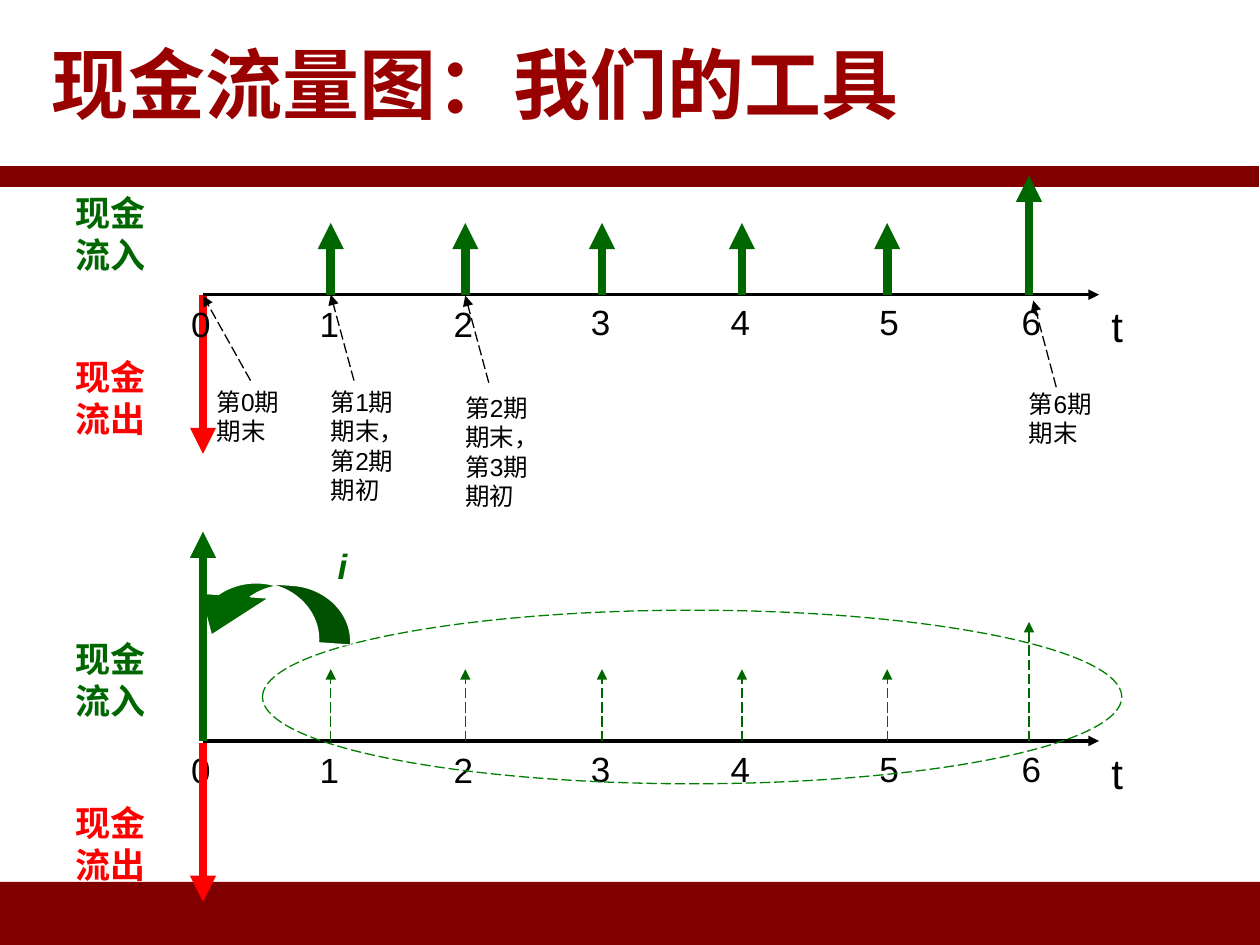
from dataclasses import dataclass

from lxml import etree
from pptx import Presentation
from pptx.dml.color import RGBColor
from pptx.enum.dml import MSO_LINE
from pptx.enum.lang import MSO_LANGUAGE_ID
from pptx.enum.shapes import MSO_CONNECTOR, MSO_SHAPE
from pptx.enum.text import MSO_ANCHOR
from pptx.oxml.ns import qn
from pptx.util import Pt

STRAIGHT = MSO_CONNECTOR.STRAIGHT
RECTANGLE, OVAL = MSO_SHAPE.RECTANGLE, MSO_SHAPE.OVAL
CURVED_ARROW = MSO_SHAPE.CURVED_UP_ARROW
LONG_DASH = MSO_LINE.LONG_DASH
MIDDLE, TOP = MSO_ANCHOR.MIDDLE, MSO_ANCHOR.TOP
CHINESE = MSO_LANGUAGE_ID.SIMPLIFIED_CHINESE


@dataclass(frozen=True)
class Theme:
    font: str = "Arial"
    band: str = "800000"
    title: str = "990000"
    paper: str = "FFFFFF"
    ink: str = "000000"
    inflow: str = "006600"
    outflow: str = "FF0000"
    group: str = "008000"
    title_size: float = 44
    axis_size: float = 24
    label_size: float = 20
    note_size: float = 14
    thin: float = 0.75
    axis_line: float = 2
    thick: float = 5


class SlideBuilder:
    def __init__(self, slide, theme):
        self.shapes = slide.shapes
        self.theme = theme

    def shape(self, kind, box, fill=None, line=None, dash=None):
        shape = self.shapes.add_shape(kind, *map(Pt, box))
        shape.shadow.inherit = False
        if fill:
            shape.fill.solid()
            shape.fill.fore_color.rgb = RGBColor.from_string(fill)
        else:
            shape.fill.background()
        if line:
            shape.line.color.rgb = RGBColor.from_string(line)
            shape.line.width = Pt(self.theme.thin)
            shape.line.dash_style = dash
        else:
            shape.line.fill.background()
        return shape

    def text(self, words, box, size, color, bold=False, italic=False,
             side_inset=7.2, anchor=TOP):
        frame = self.shapes.add_textbox(*map(Pt, box)).text_frame
        frame.word_wrap = True
        frame.vertical_anchor = anchor
        frame.margin_left = frame.margin_right = Pt(side_inset)
        frame.text = words
        font = frame.paragraphs[0].runs[0].font
        font.name = self.theme.font
        font.size = Pt(size)
        font.bold, font.italic = bold, italic
        font.color.rgb = RGBColor.from_string(color)
        font.language_id = CHINESE

    def arrow(self, start, end, color, width, dash=None):
        line = self.shapes.add_connector(STRAIGHT, *map(Pt, start + end))
        line.line.color.rgb = RGBColor.from_string(color)
        line.line.width = Pt(width)
        line.line.dash_style = dash
        properties = line._element.spPr
        head = etree.SubElement(properties.find(qn("a:ln")), qn("a:tailEnd"))
        head.set("type", "triangle")
        etree.SubElement(properties, qn("a:effectLst"))

    def note(self, words, left, top, height):
        self.text(words, (left, top, 46, height), self.theme.note_size,
                  self.theme.ink, side_inset=0)

    def pointer(self, start, end):
        self.arrow(start, end, self.theme.ink, self.theme.thin, LONG_DASH)

    def timeline(self, axis_y, flow_width, flow_dash=None):
        """Axis with its period labels, inflow arrows and side headings."""
        theme = self.theme
        self.arrow((ORIGIN_X, axis_y), (AXIS_END, axis_y), theme.ink, theme.axis_line)
        for period, (x, label_left, rise) in enumerate(PERIODS):
            if rise:
                self.arrow((x, axis_y), (x, axis_y - rise), theme.inflow,
                           flow_width, flow_dash)
            label_top = axis_y + (0.7 if period < 3 else 0)
            self.text(str(period), (label_left, label_top, 27, 31),
                      theme.label_size, theme.ink)
        self.text("t", (AXIS_END, axis_y, 31, 36), theme.axis_size, theme.ink)
        for words, offset, color in (("现金流入", -62.5, theme.inflow),
                                     ("现金流出", 31, theme.outflow)):
            self.text(words, (36, axis_y + offset, 66, 55.5), theme.label_size,
                      color, bold=True)


ORIGIN_X, AXIS_END = 116, 628
UPPER_Y, LOWER_Y = 168.4, 423.4
OUTFLOW_DROP = 91

# Arrow position, label left, inflow height for periods 0 to 6
PERIODS = [
    (ORIGIN_X, 102.2, 0),
    (189, 175.5, 41),
    (265.9, 252.2, 41),
    (344, 330.5, 41),
    (424, 410.4, 41),
    (507, 495.4, 41),
    (588, 576.7, 68),
]

# Wording, left, top, height
NOTES = [
    ("第0期期末", 123.8, 217.5, 41),
    ("第1期期末，第2期期初", 189, 217.5, 74),
    ("第2期期末，第3期期初", 265.9, 221, 74),
    ("第6期期末", 588, 218.7, 41),
]

POINTERS = [
    ((143.2, 217.5), (ORIGIN_X, 169)),
    ((202.3, 217.5), (189, 168.4)),
    ((279.3, 218.7), (265.9, 169)),
    ((603.6, 221.3), (590.4, 171.8)),
]


def main():
    deck = Presentation()
    deck.slide_width, deck.slide_height = Pt(720), Pt(540)
    theme = Theme()
    page = SlideBuilder(deck.slides.add_slide(deck.slide_layouts[6]), theme)

    page.shape(RECTANGLE, (0, 504, 720, 36), theme.band)
    page.shape(RECTANGLE, (-0.7, 95, 720, 11.5), theme.band, theme.band)
    page.shape(RECTANGLE, (-1.4, 0.7, 720, 94), theme.paper, theme.paper)
    page.text("现金流量图：我们的工具", (22.5, 0.7, 644, 93), theme.title_size,
              theme.title, bold=True, anchor=MIDDLE)

    page.arrow((ORIGIN_X, UPPER_Y), (ORIGIN_X, UPPER_Y + OUTFLOW_DROP),
               theme.outflow, theme.thick)
    page.timeline(UPPER_Y, theme.thick)
    for note in NOTES:
        page.note(*note)
    for start, end in POINTERS:
        page.pointer(start, end)

    page.timeline(LOWER_Y, theme.thin, LONG_DASH)
    page.shape(OVAL, (150, 348.7, 491, 99.2), line=theme.group, dash=LONG_DASH)
    discounting = page.shape(CURVED_ARROW, (102.2, 333.4, 99.4, 31.7),
                             theme.inflow, theme.paper)
    discounting.rotation = 184.1
    for index, value in enumerate((0.58, 1.24, 0.74)):
        discounting.adjustments[index] = value
    page.arrow((ORIGIN_X, LOWER_Y), (ORIGIN_X, 303.8), theme.inflow, theme.thick)
    page.arrow((ORIGIN_X, LOWER_Y + 1), (ORIGIN_X, LOWER_Y + 1 + OUTFLOW_DROP),
               theme.outflow, theme.thick)
    page.text("i", (185.8, 307.4, 16.6, 31), theme.label_size, theme.inflow,
              bold=True, italic=True)

    deck.save("out.pptx")


if __name__ == "__main__":
    main()
